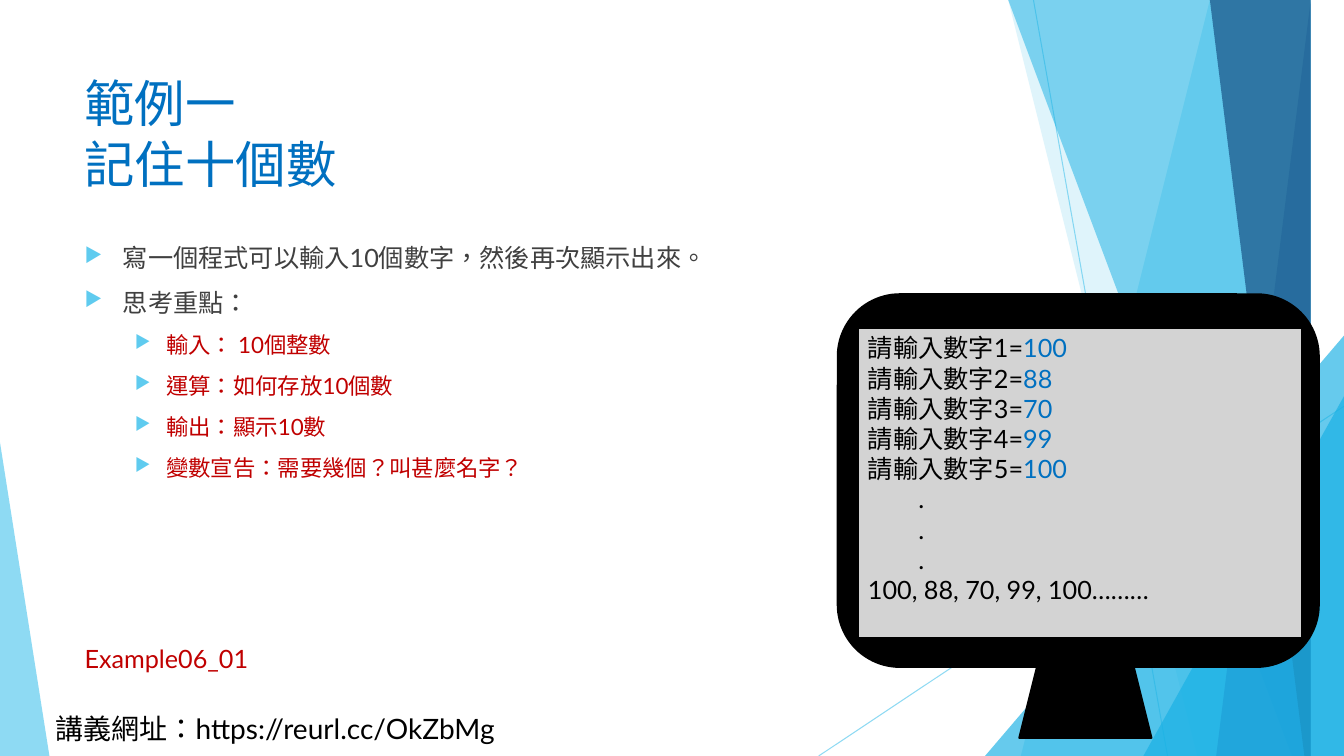
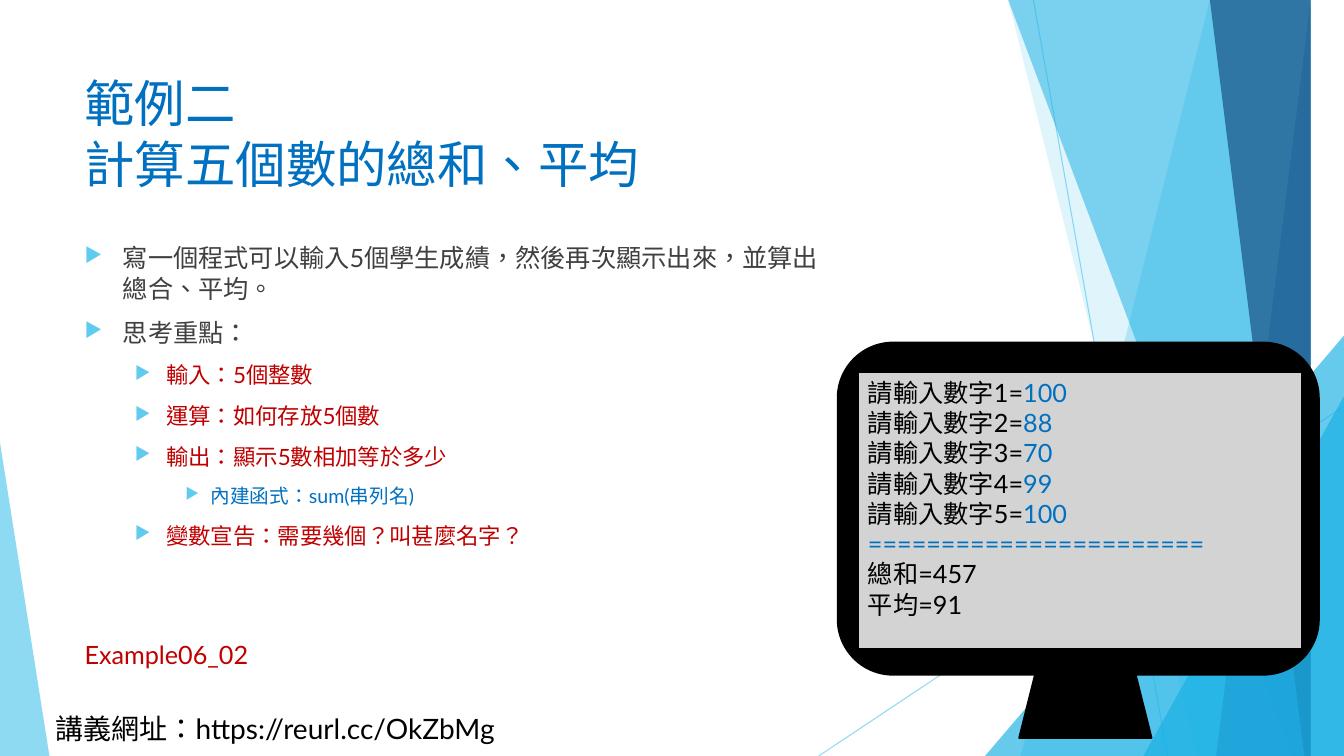
from dataclasses import dataclass

from lxml.etree import SubElement
from pptx import Presentation
from pptx.dml.color import RGBColor
from pptx.enum.lang import MSO_LANGUAGE_ID
from pptx.enum.shapes import MSO_CONNECTOR, MSO_SHAPE
from pptx.enum.text import MSO_ANCHOR, PP_ALIGN
from pptx.oxml.ns import qn
from pptx.util import Inches, Pt

WIDTH, HEIGHT = 13.33, 7.5
MARGIN = 0.74
FONT = "Lato"
SKY, CYAN, STEEL, NAVY = "5FCBEF", "17B0E4", "2E83C3", "226292"
BLUE, RED, GRAY, BLACK, SCREEN_GRAY = "0070C0", "C00000", "404040", "000000", "D3D3D3"


@dataclass(frozen=True)
class Facet:
    """Band reaching the right edge, with a slanted left side."""
    top_x: float
    bottom_x: float
    color: str
    opacity: int


@dataclass(frozen=True)
class Peak:
    """Right-angled triangle standing on the bottom edge."""
    left: float
    width: float
    height: float
    apex: float
    color: str
    opacity: int


@dataclass(frozen=True)
class Level:
    size: int
    color: str
    indent: float
    hanging: float


@dataclass(frozen=True)
class Example:
    title: str
    label: str
    label_top: float
    body_width: float
    points: tuple[tuple[int, str], ...]
    monitor_top: float
    results: tuple[tuple[str, str, float], ...]


RAYS = ((10.25, 0, 11.58, HEIGHT), (WIDTH, 4.03, 8.12, HEIGHT))
DECORATION = (
    Facet(12.28, 10.04, SKY, 36),
    Facet(10.5, 11.83, SKY, 20),
    Peak(9.77, 3.56, 4.17, 1, CYAN, 66),
    Facet(10.21, 12.91, CYAN, 50),
    Facet(13.03, 11.92, STEEL, 70),
    Facet(11.96, 13.18, NAVY, 80),
    Peak(11.34, 1.99, 3.57, 1, CYAN, 66),
    Peak(0, 0.49, 3.11, 0, SKY, 70),
)
LEVELS = (
    Level(18, GRAY, 0.38, 0.38),
    Level(16, RED, 0.81, 0.31),
    Level(14, BLUE, 1.25, 0.25),
)
PROMPTS = tuple(
    (f"請輸入數字{number}=", score, 0)
    for number, score in enumerate(("100", "88", "70", "99", "100"), 1)
)
EXAMPLES = (
    Example(
        "範例一\v記住十個數", "Example06_01", 6.33, 7.4,
        (
            (0, "寫一個程式可以輸入10個數字，然後再次顯示出來。"),
            (0, "思考重點："),
            (1, "輸入： 10個整數"),
            (1, "運算：如何存放10個數"),
            (1, "輸出：顯示10數"),
            (1, "變數宣告：需要幾個？叫甚麼名字？"),
        ),
        2.92,
        ((".", "", 0.5),) * 3 + (("100, 88, 70, 99, 100………", "", 0),),
    ),
    Example(
        "範例二\v計算五個數的總和、平均", "Example06_02", 6.29, 7.72,
        (
            (0, "寫一個程式可以輸入5個學生成績，然後再次顯示出來，並算出總合、平均。"),
            (0, "思考重點："),
            (1, "輸入：5個整數"),
            (1, "運算：如何存放5個數"),
            (1, "輸出：顯示5數相加等於多少"),
            (2, "內建函式：sum(串列名)"),
            (1, "變數宣告：需要幾個？叫甚麼名字？"),
        ),
        3.4,
        (("", "=" * 23, 0), ("總和=457", "", 0), ("平均=91", "", 0)),
    ),
)


def rgb(value: str) -> RGBColor:
    return RGBColor.from_string(value)


def set_opacity(fill_parent, percent: int) -> None:
    color = next(fill_parent.iter(qn("a:srgbClr")))
    SubElement(color, qn("a:alpha"), val=str(percent * 1000))


def paint(shape, color: str, *, opacity: int = 100, outline: float = 0) -> None:
    shape.shadow.inherit = False
    shape.fill.solid()
    shape.fill.fore_color.rgb = rgb(color)
    if opacity < 100:
        set_opacity(shape.fill._xPr, opacity)
    if outline:
        shape.line.color.rgb = rgb(BLACK)
        shape.line.width = Pt(outline)
    else:
        shape.line.fill.background()


def add_bullet(paragraph) -> None:
    properties = paragraph._p.get_or_add_pPr()
    bullet_color = SubElement(properties, qn("a:buClr"))
    SubElement(bullet_color, qn("a:srgbClr"), val=SKY)
    SubElement(properties, qn("a:buSzPct"), val="80000")
    SubElement(properties, qn("a:buChar"), char="▶")


def write(frame, text: str, *, size: float = 18, color: str = BLACK, entry: str = "",
          indent: float = 0, hanging: float = 0, space_before: float = 0,
          bullet: bool = False) -> None:
    """Append a paragraph; entry is a blue ending, a vertical tab breaks the line."""
    is_first = not frame.text
    paragraph = frame.paragraphs[0] if is_first else frame.add_paragraph()
    paragraph.alignment = PP_ALIGN.LEFT
    properties = paragraph._p.get_or_add_pPr()
    properties.set("marL", str(Inches(indent)))
    properties.set("indent", str(-Inches(hanging)))
    if space_before and not is_first:
        paragraph.space_before = Pt(space_before)
    if bullet:
        add_bullet(paragraph)
    for content, run_color in ((text, color), (entry, BLUE)):
        for index, part in enumerate(content.split("\v") if content else ()):
            if index:
                paragraph.add_line_break()
            run = paragraph.add_run()
            run.text = part
            run.font.name = FONT
            run.font.size = Pt(size)
            run.font.color.rgb = rgb(run_color)
            run.font.language_id = MSO_LANGUAGE_ID.TRADITIONAL_CHINESE


def add_frame(slide, left: float, top: float, width: float, height: float):
    box = slide.shapes.add_textbox(*map(Inches, (left, top, width, height)))
    box.text_frame.word_wrap = True
    return box.text_frame


def add_preset(slide, kind: MSO_SHAPE, left: float, top: float, width: float, height: float):
    return slide.shapes.add_shape(kind, *map(Inches, (left, top, width, height)))


def draw_decoration(slide) -> None:
    for ends in RAYS:
        ray = slide.shapes.add_connector(MSO_CONNECTOR.STRAIGHT, *map(Inches, ends))
        ray.line.color.rgb = rgb(SKY)
        ray.line.width = Pt(0.75)
        properties = ray._element.spPr
        set_opacity(properties, 70)
        SubElement(properties, qn("a:effectLst"))
    for part in DECORATION:
        if isinstance(part, Facet):
            outline = slide.shapes.build_freeform(part.top_x, 0, scale=Inches(1))
            outline.add_line_segments(
                ((WIDTH, 0), (WIDTH, HEIGHT), (part.bottom_x, HEIGHT)), close=True)
            shape = outline.convert_to_shape()
        else:
            shape = add_preset(slide, MSO_SHAPE.ISOSCELES_TRIANGLE, part.left,
                               HEIGHT - part.height, part.width, part.height)
            shape.adjustments[0] = part.apex
        paint(shape, part.color, opacity=part.opacity)


def draw_monitor(slide, top: float, results: tuple[tuple[str, str, float], ...]) -> None:
    """Draw a monitor whose foot stays at one height, with the program's output."""
    height = 7.32 - top
    bezel_height = 0.84 * height
    bezel = add_preset(slide, MSO_SHAPE.ROUNDED_RECTANGLE, 8.31, top, 4.77, bezel_height)
    paint(bezel, BLACK, outline=1.5)
    screen = add_preset(slide, MSO_SHAPE.RECTANGLE, 8.51, top + 0.075 * height,
                        4.4, 0.7 * height)
    paint(screen, SCREEN_GRAY, outline=1.5)
    screen.text_frame.vertical_anchor = MSO_ANCHOR.TOP
    for text, entry, indent in PROMPTS + results:
        write(screen.text_frame, text, entry=entry, indent=indent)
    stand = add_preset(slide, MSO_SHAPE.TRAPEZOID, 10.11, top + bezel_height,
                       1.31, height - bezel_height)
    paint(stand, BLACK, outline=1.5)


def draw_example(slide, example: Example) -> None:
    draw_decoration(slide)
    write(add_frame(slide, 0.45, 7.01, 4.76, 0.44),
          "講義網址：https://reurl.cc/OkZbMg", size=20)
    write(add_frame(slide, MARGIN, 0.67, 9.4, 1.44), example.title, size=36, color=BLUE)
    body = add_frame(slide, MARGIN, 2.36, example.body_width, 4.24)
    for depth, text in example.points:
        level = LEVELS[depth]
        write(body, text, size=level.size, color=level.color, indent=level.indent,
              hanging=level.hanging, space_before=10, bullet=True)
    draw_monitor(slide, example.monitor_top, example.results)
    write(add_frame(slide, MARGIN, example.label_top, 2, 0.4), example.label, color=RED)


def main() -> None:
    deck = Presentation()
    deck.slide_width, deck.slide_height = Inches(WIDTH), Inches(HEIGHT)
    for example in EXAMPLES:
        draw_example(deck.slides.add_slide(deck.slide_layouts[6]), example)
    deck.save("out.pptx")


if __name__ == "__main__":
    main()
